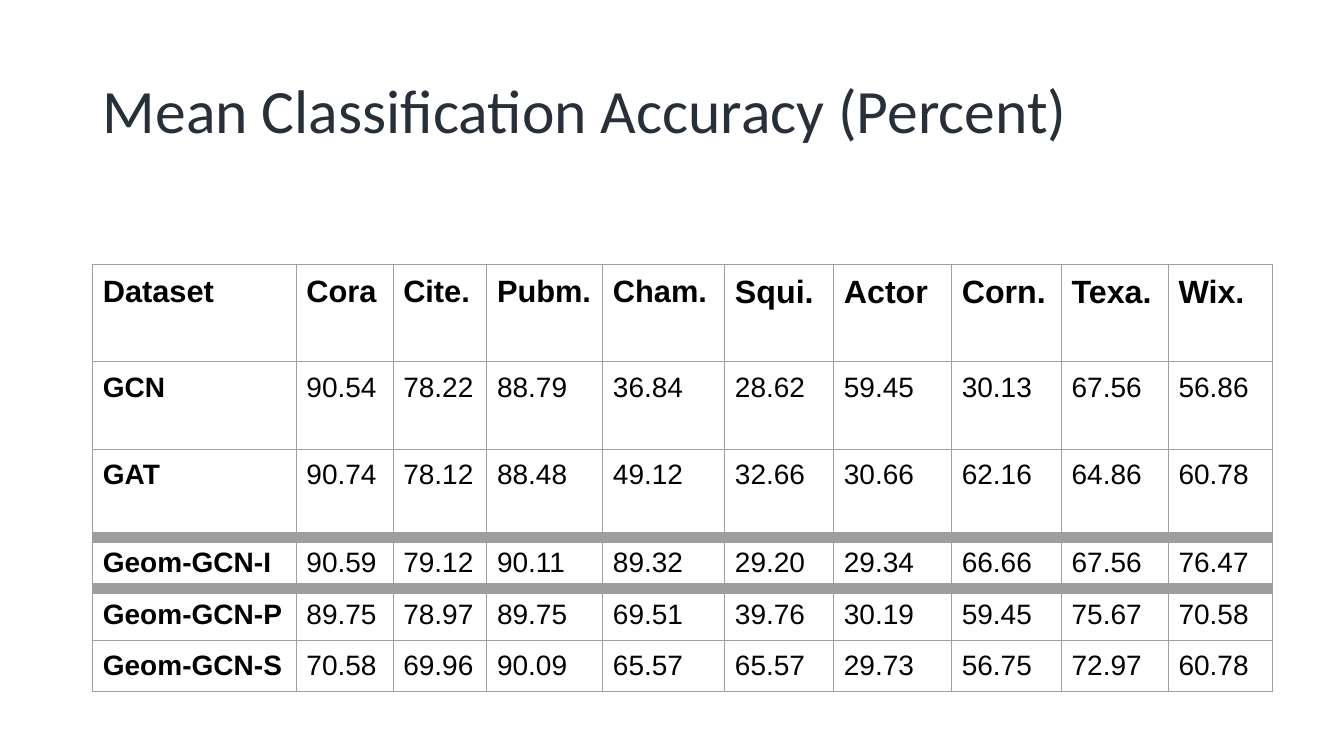
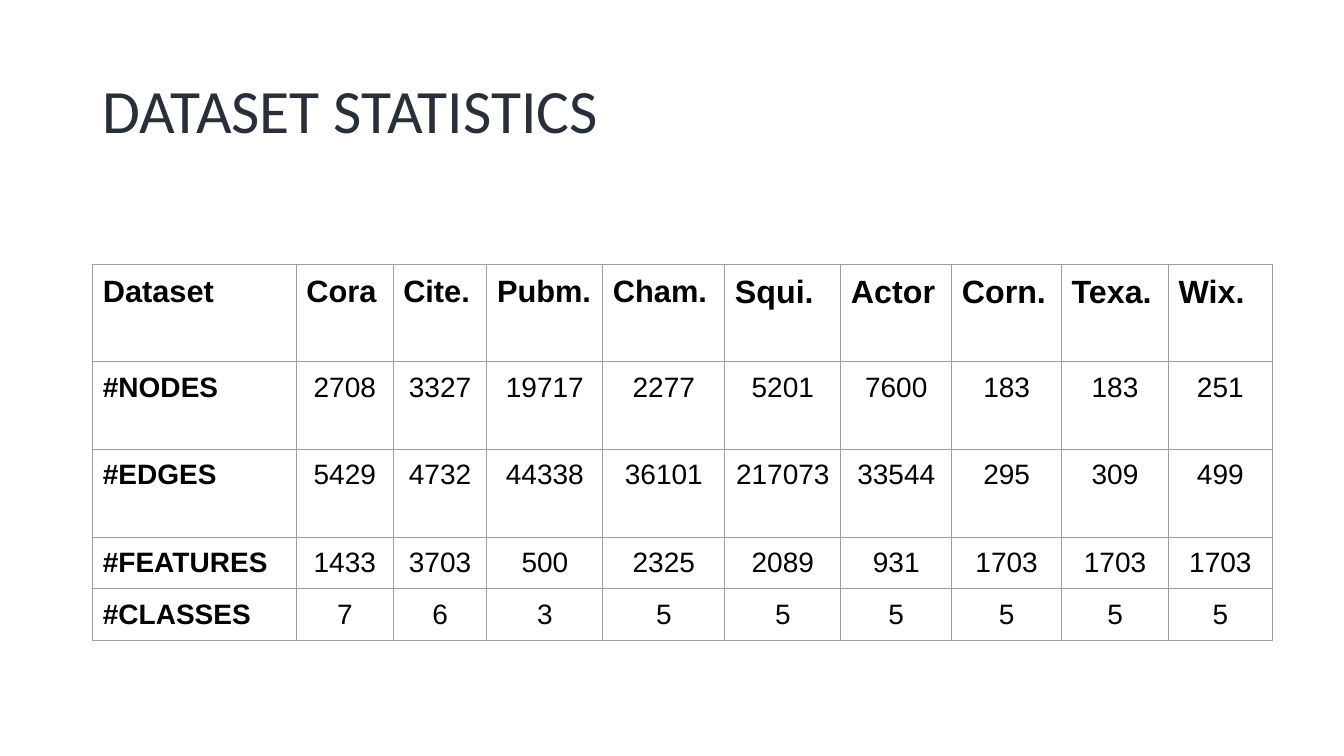
from dataclasses import dataclass

from lxml.etree import SubElement
from pptx import Presentation
from pptx.dml.color import RGBColor
from pptx.enum.text import MSO_ANCHOR, MSO_AUTO_SIZE, PP_ALIGN
from pptx.oxml.ns import qn
from pptx.presentation import Presentation as Deck
from pptx.slide import Slide
from pptx.table import _Cell as Cell
from pptx.util import Inches, Pt

TITLE_COLOR = "282F39"
TEXT_COLOR = "000000"
GRID_COLOR = "9E9E9E"
THIN, THICK = 0.75, 9
TITLE_ONLY_LAYOUT = 5

HEADER = ("Dataset", "Cora", "Cite.", "Pubm.", "Cham.",
          "Squi.", "Actor", "Corn.", "Texa.", "Wix.")
SMALLER_HEADERS = 5
TABLE_LEFT, TABLE_TOP = 0.92, 2.62
TITLE_PLACE = {"left": 0.92, "top": 0.4, "width": 11.5, "height": 1.45}
TITLE_FRAME = {
    "margin_left": Inches(0.1), "margin_right": Inches(0.1),
    "margin_top": Inches(0.05), "margin_bottom": Inches(0.05),
    "vertical_anchor": MSO_ANCHOR.MIDDLE,
    "auto_size": MSO_AUTO_SIZE.NONE, "word_wrap": True,
}
CELL_FORMAT = {
    **{f"margin_{side}": Inches(0.1) for side in ("left", "top", "right", "bottom")},
    "vertical_anchor": MSO_ANCHOR.TOP,
}


@dataclass(frozen=True)
class TablePage:
    title: str
    rows: tuple[str, ...]
    column_widths: tuple[float, ...]
    row_heights: tuple[float, ...]
    value_alignment: PP_ALIGN
    thick_rules: tuple[int, ...] = ()  # rows with a heavy line above them


PAGES = (
    TablePage(
        "Mean Classification Accuracy (Percent)",
        (
            "GCN 90.54 78.22 88.79 36.84 28.62 59.45 30.13 67.56 56.86",
            "GAT 90.74 78.12 88.48 49.12 32.66 30.66 62.16 64.86 60.78",
            "Geom-GCN-I 90.59 79.12 90.11 89.32 29.20 29.34 66.66 67.56 76.47",
            "Geom-GCN-P 89.75 78.97 89.75 69.51 39.76 30.19 59.45 75.67 70.58",
            "Geom-GCN-S 70.58 69.96 90.09 65.57 65.57 29.73 56.75 72.97 60.78",
        ),
        (2.02, 0.96, 0.93, 1.15, 1.21, 1.08, 1.17, 1.09, 1.06, 1.03),
        (0.97, 0.87, 0.87, 0.51, 0.51, 0.51),
        PP_ALIGN.LEFT,
        thick_rules=(3, 4),
    ),
    TablePage(
        "DATASET STATISTICS",
        (
            "#NODES 2708 3327 19717 2277 5201 7600 183 183 251",
            "#EDGES 5429 4732 44338 36101 217073 33544 295 309 499",
            "#FEATURES 1433 3703 500 2325 2089 931 1703 1703 1703",
            "#CLASSES 7 6 3 5 5 5 5 5 5",
        ),
        (2.02, 0.96, 0.93, 1.15, 1.21, 1.15, 1.1, 1.09, 1.06, 1.03),
        (0.97, 0.87, 0.87, 0.51, 0.51),
        PP_ALIGN.CENTER,
    ),
)


def set_attributes(target: object, values: dict) -> None:
    for name, value in values.items():
        setattr(target, name, value)


def write_text(frame, text: str, color: str, alignment: PP_ALIGN, font: dict) -> None:
    para = frame.paragraphs[0]
    para.alignment = alignment
    span = para.add_run()
    span.text = text
    set_attributes(span.font, font)
    span.font.color.rgb = RGBColor.from_string(color)


def set_borders(cell: Cell, top: float, bottom: float) -> None:
    properties = cell._tc.get_or_add_tcPr()
    for edge, width in {"L": THIN, "R": THIN, "T": top, "B": bottom}.items():
        line = SubElement(properties, qn(f"a:ln{edge}"), w=str(Pt(width)))
        fill = SubElement(line, qn("a:solidFill"))
        SubElement(fill, qn("a:srgbClr"), val=GRID_COLOR)


def add_title(slide: Slide, text: str) -> None:
    title = slide.shapes.title
    set_attributes(title, {side: Inches(size) for side, size in TITLE_PLACE.items()})
    set_attributes(title.text_frame, TITLE_FRAME)
    write_text(title.text_frame, text, TITLE_COLOR, PP_ALIGN.LEFT,
               {"name": "Calibri", "size": Pt(44), "bold": False})
    title.text_frame.paragraphs[0].line_spacing = 0.9


def add_data_table(slide: Slide, page: TablePage) -> None:
    rows = [HEADER, *(row.split() for row in page.rows)]
    table = slide.shapes.add_table(
        len(rows), len(HEADER), Inches(TABLE_LEFT), Inches(TABLE_TOP),
        Inches(sum(page.column_widths)), Inches(sum(page.row_heights)),
    ).table
    set_attributes(table, {"first_row": False, "horz_banding": False})
    for column, width in zip(table.columns, page.column_widths):
        column.width = Inches(width)
    for row, height in zip(table.rows, page.row_heights):
        row.height = Inches(height)

    for r, row in enumerate(rows):
        top, bottom = (THICK if edge in page.thick_rules else THIN for edge in (r, r + 1))
        for c, text in enumerate(row):
            is_header, is_label = r == 0, c == 0
            header_size = 22 if c < SMALLER_HEADERS else 23
            cell = table.cell(r, c)
            set_borders(cell, top, bottom)
            cell.fill.background()
            set_attributes(cell, CELL_FORMAT)
            write_text(
                cell.text_frame, text, TEXT_COLOR,
                PP_ALIGN.LEFT if is_header or is_label else page.value_alignment,
                {"name": "Arial", "size": Pt(header_size if is_header else 20),
                 "bold": is_header or is_label},
            )


def add_page(deck: Deck, page: TablePage) -> None:
    slide = deck.slides.add_slide(deck.slide_layouts[TITLE_ONLY_LAYOUT])
    add_title(slide, page.title)
    add_data_table(slide, page)


def main() -> None:
    deck = Presentation()
    set_attributes(deck, {"slide_width": Inches(13.33), "slide_height": Inches(7.5)})
    for page in PAGES:
        add_page(deck, page)
    deck.save("out.pptx")


if __name__ == "__main__":
    main()
